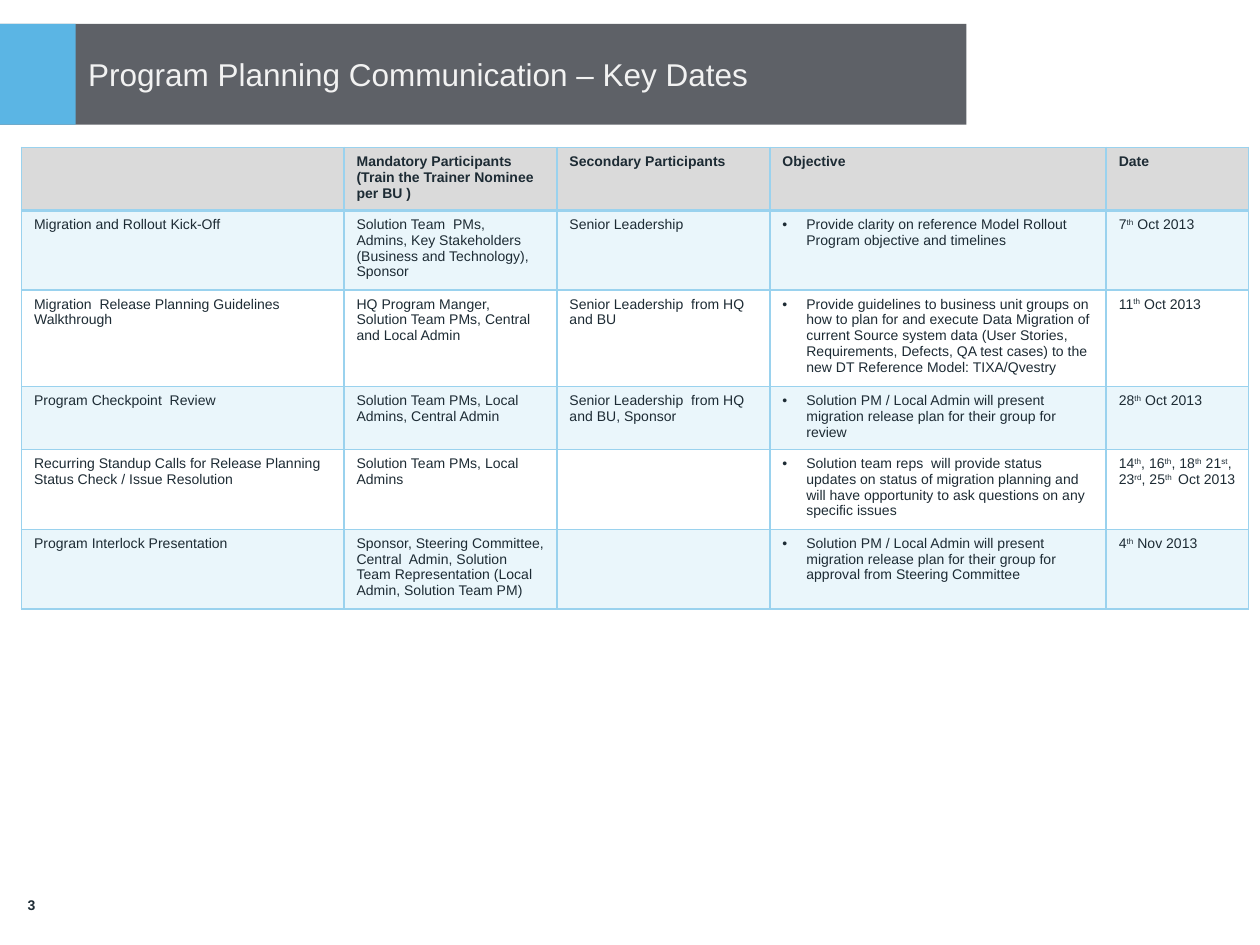
from lxml import etree
from pptx import Presentation
from pptx.dml.color import RGBColor
from pptx.enum.shapes import MSO_SHAPE
from pptx.enum.text import MSO_ANCHOR, MSO_AUTO_SIZE, PP_ALIGN
from pptx.oxml.ns import qn
from pptx.util import Inches, Pt

RECTANGLE = MSO_SHAPE.RECTANGLE
MIDDLE = MSO_ANCHOR.MIDDLE
NO_AUTOFIT = MSO_AUTO_SIZE.NONE
LEFT = PP_ALIGN.LEFT
CENTER = PP_ALIGN.CENTER

BAND_GREY = RGBColor(0x5E, 0x61, 0x67)
ACCENT_BLUE = RGBColor(0x5B, 0xB5, 0xE4)
TITLE_WHITE = RGBColor(0xF2, 0xF2, 0xF2)
TEXT_DARK = RGBColor(0x1D, 0x2B, 0x34)
HEADER_GREY = RGBColor(0xDA, 0xDA, 0xDA)
TABLE_BLUE = RGBColor(0x9A, 0xD2, 0xEE)

FONT = "Arial"
BAND_TOP, BAND_HEIGHT = 0.19, 0.8
ACCENT_WIDTH, BAND_WIDTH = 0.6, 7.67
COLUMN_WIDTHS = [2.56, 1.69, 1.69, 2.67, 1.13]
ROW_HEIGHTS = [0.47, 0.6, 0.73, 0.47, 0.6, 0.6]
OBJECTIVE_COLUMN = 3
BULLET_INDENT = 0.19
SUPERSCRIPT_MARK = "^"

ROWS = [
    ["", "Mandatory Participants\n(Train the Trainer Nominee per BU )",
     "Secondary Participants", "Objective", "Date"],
    ["Migration and Rollout Kick-Off",
     "Solution Team  PMs,\nAdmins, Key Stakeholders (Business and Technology), Sponsor",
     "Senior Leadership",
     "Provide clarity on reference Model Rollout Program objective and timelines",
     "7^th^ Oct 2013"],
    ["Migration  Release Planning Guidelines Walkthrough",
     "HQ Program Manger, Solution Team PMs, Central and Local Admin",
     "Senior Leadership  from HQ and BU",
     "Provide guidelines to business unit groups on how to plan for and execute "
     "Data Migration of current Source system data (User Stories, Requirements, "
     "Defects, QA test cases) to the new DT Reference Model: TIXA/Qvestry",
     "11^th^ Oct 2013"],
    ["Program Checkpoint  Review",
     "Solution Team PMs, Local Admins, Central Admin",
     "Senior Leadership  from HQ and BU, Sponsor",
     "Solution PM / Local Admin will present migration release plan for their "
     "group for review",
     "28^th^ Oct 2013"],
    ["Recurring Standup Calls for Release Planning Status Check / Issue Resolution",
     "Solution Team PMs, Local Admins",
     "",
     "Solution team reps  will provide status updates on status of migration "
     "planning and will have opportunity to ask questions on any specific issues",
     "14^th^, 16^th^, 18^th^ 21^st^, 23^rd^, 25^th ^ Oct 2013"],
    ["Program Interlock Presentation",
     "Sponsor, Steering Committee, Central  Admin, Solution Team Representation "
     "(Local Admin, Solution Team PM)",
     "",
     "Solution PM / Local Admin will present migration release plan for their "
     "group for approval from Steering Committee",
     "4^th^ Nov 2013"],
]


def format_run(run, size, color, bold=False):
    run.font.name = FONT
    run.font.size = Pt(size)
    run.font.bold = bold
    run.font.color.rgb = color


def add_bar(slide, width, color):
    bar = slide.shapes.add_shape(
        RECTANGLE, 0, Inches(BAND_TOP), Inches(width), Inches(BAND_HEIGHT))
    bar.shadow.inherit = False
    bar.fill.solid()
    bar.fill.fore_color.rgb = color
    bar.line.fill.background()


def add_title(slide, text):
    title = slide.shapes.title
    slide.shapes._spTree.append(title._element)
    title.left, title.top = Inches(ACCENT_WIDTH), Inches(BAND_TOP)
    title.width, title.height = Inches(BAND_WIDTH - ACCENT_WIDTH), Inches(BAND_HEIGHT)
    frame = title.text_frame
    frame.text = text
    frame.auto_size = NO_AUTOFIT
    frame.vertical_anchor = MIDDLE
    frame.margin_left = frame.margin_right = Inches(0.1)
    frame.margin_top = frame.margin_bottom = Inches(0.01)
    paragraph = frame.paragraphs[0]
    paragraph.alignment = LEFT
    format_run(paragraph.runs[0], 18, TITLE_WHITE)


def add_page_number(slide, text):
    box = slide.shapes.add_textbox(0, Inches(6.86), Inches(0.5), Inches(0.64))
    frame = box.text_frame
    frame.word_wrap = True
    frame.vertical_anchor = MIDDLE
    frame.text = text
    paragraph = frame.paragraphs[0]
    paragraph.alignment = CENTER
    format_run(paragraph.runs[0], 8, TEXT_DARK, bold=True)


def set_borders(cell, bottom_width):
    properties = cell._tc.get_or_add_tcPr()
    for side, width in (("L", 1), ("R", 1), ("T", 1), ("B", bottom_width)):
        line = etree.SubElement(properties, qn(f"a:ln{side}"), w=str(Pt(width)))
        fill = etree.SubElement(line, qn("a:solidFill"))
        etree.SubElement(fill, qn("a:srgbClr"), val=str(TABLE_BLUE))


def fill_cell(cell, row_index):
    if row_index == 0:
        cell.fill.solid()
        cell.fill.fore_color.rgb = HEADER_GREY
    elif row_index % 2:
        cell.fill.solid()
        cell.fill.fore_color.rgb = TABLE_BLUE
        color = cell._tc.tcPr.find(f"{qn('a:solidFill')}/{qn('a:srgbClr')}")
        etree.SubElement(color, qn("a:alpha"), val="20000")
    else:
        cell.fill.background()


def add_bullet(paragraph):
    properties = paragraph._p.get_or_add_pPr()
    properties.set("marL", str(Inches(BULLET_INDENT)))
    properties.set("indent", str(-Inches(BULLET_INDENT)))
    etree.SubElement(properties, qn("a:buFont"), typeface=FONT)
    etree.SubElement(properties, qn("a:buChar"), char="•")


def write_cell(cell, text, bold, bulleted):
    frame = cell.text_frame
    for index, line in enumerate(text.split("\n")):
        paragraph = frame.paragraphs[0] if index == 0 else frame.add_paragraph()
        paragraph.font.size = Pt(8)
        if bulleted:
            add_bullet(paragraph)
        for part_index, part in enumerate(line.split(SUPERSCRIPT_MARK)):
            if not part:
                continue
            run = paragraph.add_run()
            run.text = part
            format_run(run, 8, TEXT_DARK, bold)
            if part_index % 2:
                run.font._element.set("baseline", "30000")


def add_dates_table(slide):
    table = slide.shapes.add_table(
        len(ROWS), len(COLUMN_WIDTHS), Inches(0.17), Inches(1.17),
        Inches(sum(COLUMN_WIDTHS)), Inches(sum(ROW_HEIGHTS))).table
    for column, width in zip(table.columns, COLUMN_WIDTHS):
        column.width = Inches(width)
    for row, height in zip(table.rows, ROW_HEIGHTS):
        row.height = Inches(height)
    for row_index, texts in enumerate(ROWS):
        is_header = row_index == 0
        for column_index, text in enumerate(texts):
            cell = table.cell(row_index, column_index)
            set_borders(cell, 2 if is_header else 1)
            fill_cell(cell, row_index)
            bulleted = column_index == OBJECTIVE_COLUMN and not is_header
            write_cell(cell, text, is_header, bulleted)


def main():
    presentation = Presentation()
    presentation.slide_width = Inches(10)
    presentation.slide_height = Inches(7.5)
    slide = presentation.slides.add_slide(presentation.slide_layouts[5])
    add_bar(slide, BAND_WIDTH, BAND_GREY)
    add_bar(slide, ACCENT_WIDTH, ACCENT_BLUE)
    add_title(slide, "Program Planning Communication – Key Dates")
    add_page_number(slide, "3")
    add_dates_table(slide)
    presentation.save("out.pptx")


if __name__ == "__main__":
    main()
